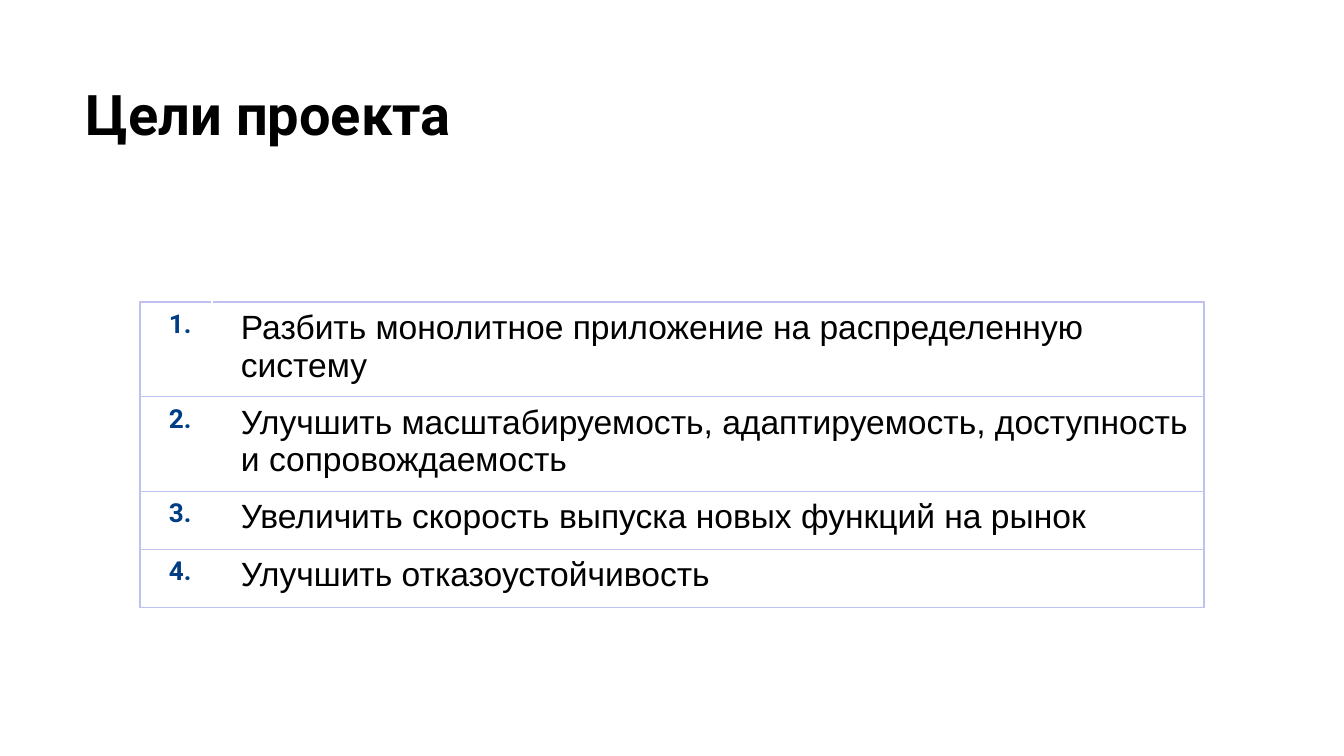
from lxml.etree import SubElement
from pptx import Presentation
from pptx.dml.color import RGBColor
from pptx.enum.text import MSO_ANCHOR
from pptx.oxml.ns import qn
from pptx.util import Pt

EMU_PER_PX = 6804
BLACK = RGBColor(0x00, 0x00, 0x00)
NAVY = RGBColor(0x01, 0x3D, 0x85)
LAVENDER = RGBColor(0xBF, 0xC1, 0xF0)
WHITE = RGBColor(0xFF, 0xFF, 0xFF)

TITLE_FORMAT = {"name": "Roboto", "size": Pt(30), "bold": True}
NUMBER_FORMAT = {"name": "Roboto", "size": Pt(14), "bold": True}
GOAL_FORMAT = {"name": "Arial", "size": Pt(18), "bold": False}

NUMBER_BORDERS = {"L": LAVENDER, "R": WHITE, "T": LAVENDER, "B": LAVENDER}
GOAL_BORDERS = {"L": WHITE, "R": LAVENDER, "T": LAVENDER, "B": LAVENDER}

COLUMN_WIDTHS = (72, 992)
ROW_HEIGHT = 58
GOALS = (
    "Разбить монолитное приложение на распределенную систему",
    "Улучшить масштабируемость, адаптируемость, доступность и сопровождаемость",
    "Увеличить скорость выпуска новых функций на рынок",
    "Улучшить отказоустойчивость",
)


def px(length):
    return length * EMU_PER_PX


def set_attributes(target, values):
    for name, value in values.items():
        setattr(target, name, value)


def set_margins(target, left, top, right, bottom):
    margins = {"left": left, "top": top, "right": right, "bottom": bottom}
    set_attributes(target, {f"margin_{side}": px(size) for side, size in margins.items()})


def write_text(text_frame, text, font_format, color):
    run = text_frame.paragraphs[0].add_run()
    run.text = text
    set_attributes(run.font, font_format)
    run.font.color.rgb = color


def add_title(slide, text):
    shape = slide.shapes.add_textbox(px(73), px(67), px(1253), px(192))
    text_frame = shape.text_frame
    set_attributes(text_frame, {"word_wrap": True, "vertical_anchor": MSO_ANCHOR.TOP})
    set_margins(text_frame, 13, 13, 13, 13)
    write_text(text_frame, text, TITLE_FORMAT, BLACK)


def set_borders(cell, borders):
    properties = cell._tc.get_or_add_tcPr()
    for side, color in borders.items():
        line = SubElement(properties, qn(f"a:ln{side}"), w=str(Pt(0.75)))
        fill = SubElement(line, qn("a:solidFill"))
        SubElement(fill, qn("a:srgbClr"), val=str(color))


def fill_cell(cell, text, font_format, color, borders):
    set_borders(cell, borders)
    cell.fill.background()
    set_margins(cell, 29, 7, 13, 7)
    write_text(cell.text_frame, text, font_format, color)


def add_goals_table(slide, goals):
    frame = slide.shapes.add_table(
        len(goals), len(COLUMN_WIDTHS),
        px(140), px(302), px(sum(COLUMN_WIDTHS)), px(ROW_HEIGHT * len(goals)),
    )
    table = frame.table
    set_attributes(table, {"first_row": False, "horz_banding": False})
    for column, width in zip(table.columns, COLUMN_WIDTHS):
        column.width = px(width)
    for index, goal in enumerate(goals):
        number_cell, goal_cell = table.rows[index].cells
        fill_cell(number_cell, f"{index + 1}.", NUMBER_FORMAT, NAVY, NUMBER_BORDERS)
        fill_cell(goal_cell, goal, GOAL_FORMAT, BLACK, GOAL_BORDERS)


def main():
    presentation = Presentation()
    set_attributes(presentation, {"slide_width": px(1344), "slide_height": px(756)})
    slide = presentation.slides.add_slide(presentation.slide_layouts[6])
    add_title(slide, "Цели проекта")
    add_goals_table(slide, GOALS)
    presentation.save("out.pptx")


if __name__ == "__main__":
    main()
